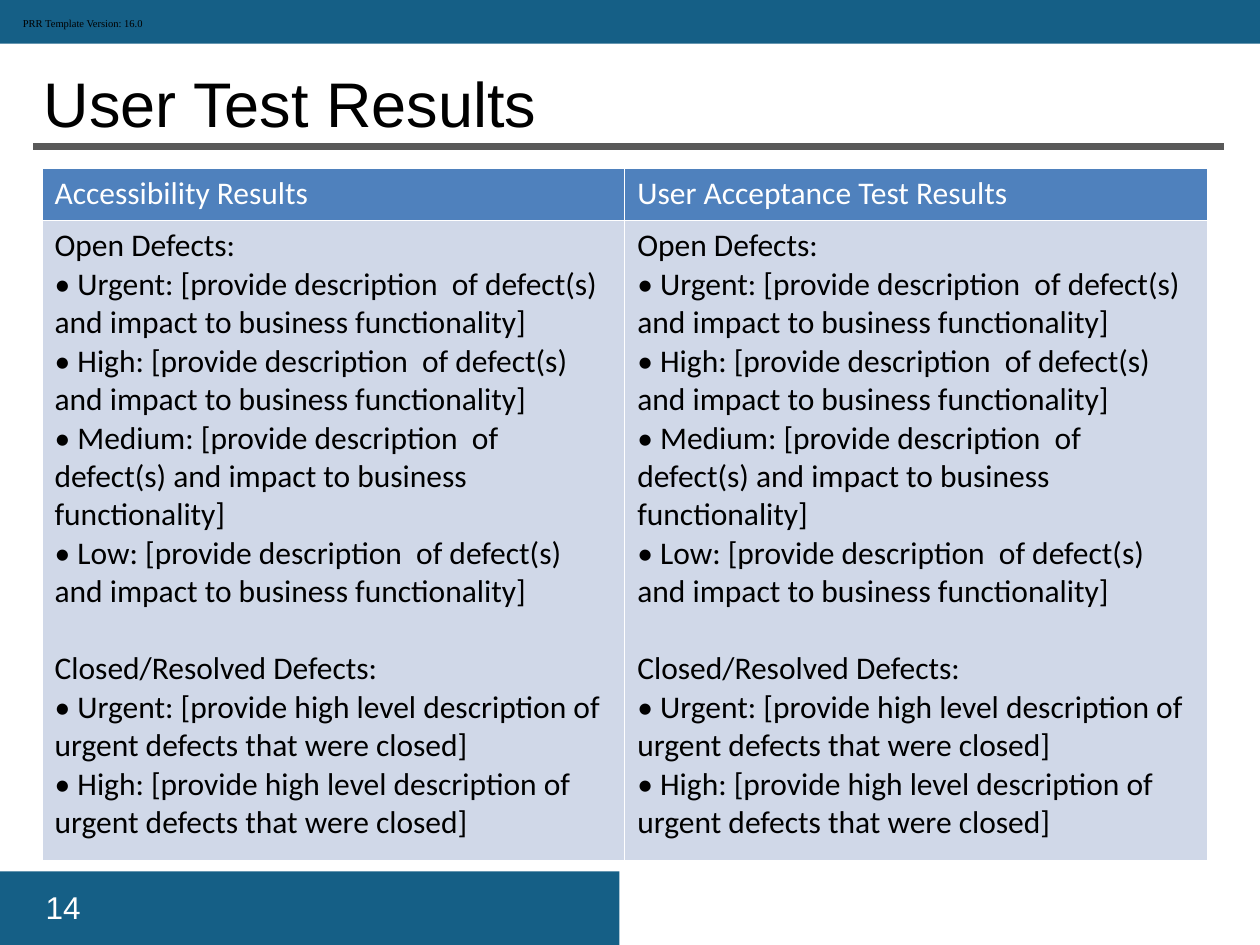
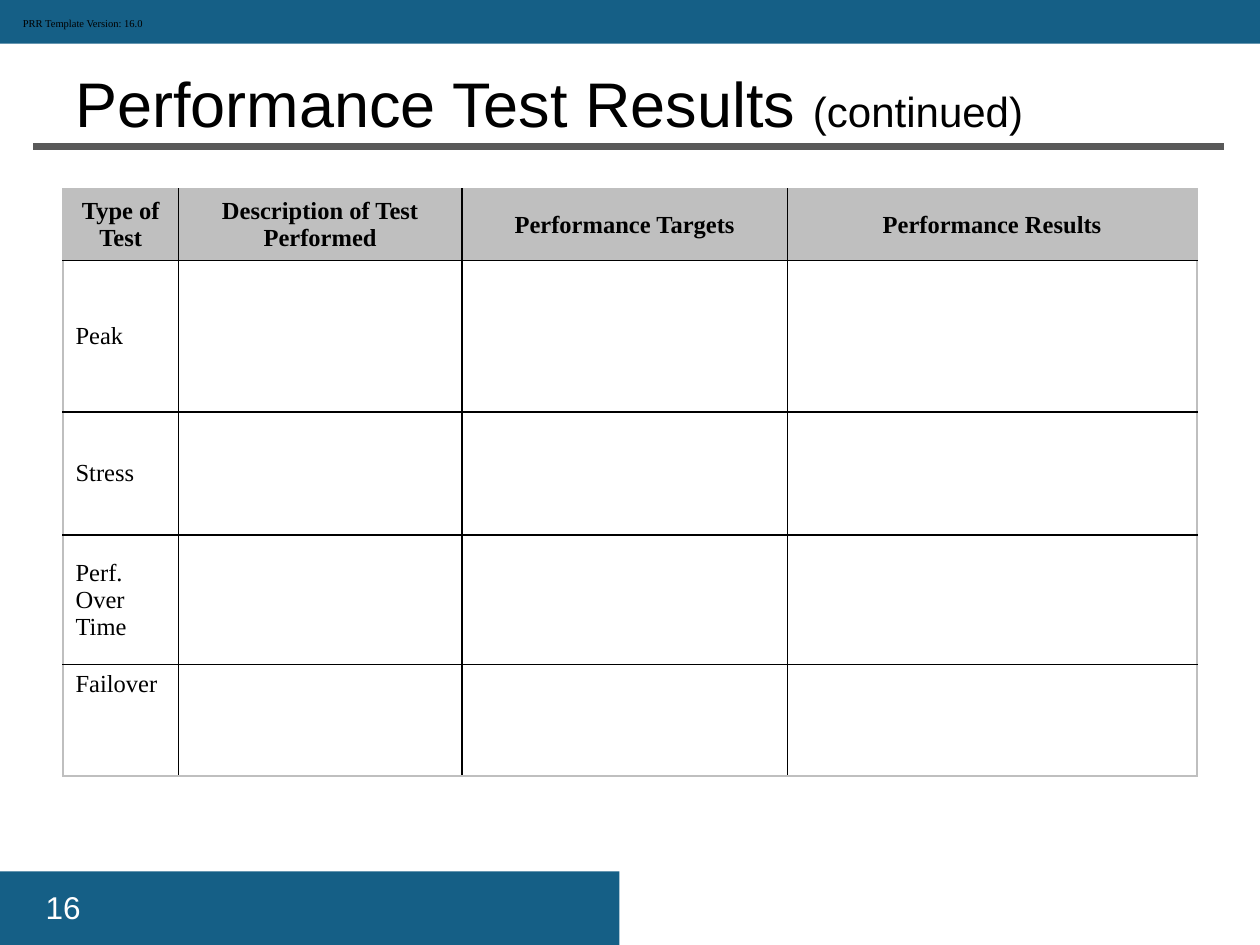
from lxml.etree import SubElement
from pptx import Presentation
from pptx.dml.color import RGBColor
from pptx.enum.shapes import MSO_CONNECTOR, MSO_SHAPE
from pptx.enum.text import MSO_ANCHOR, PP_ALIGN
from pptx.oxml.ns import qn
from pptx.util import Pt

BAND, RULE, BLACK, WHITE = "155F86", "595959", "000000", "FFFFFF"
HEAD_BLUE, BODY_BLUE, GRAY = "4F81BD", "D0D8E8", "BFBFBF"
SANS, SERIF, BODY = "Arial", "Times New Roman", "Calibri"

VERSION = "PRR Template Version: 16.0"
BANDS = [(0, 498, 354, 42), (0, 0, 720, 25)]

RESULT_HEADS = ["Accessibility Results", "User Acceptance Test Results"]
CLOSED = "Closed/Resolved Defects:"
DEFECTS = [
    "Open Defects:",
    "• Urgent: [provide description  of defect(s) and impact to business functionality]",
    "• High: [provide description  of defect(s) and impact to business functionality]",
    "• Medium: [provide description  of defect(s) and impact to business functionality]",
    "• Low: [provide description  of defect(s) and impact to business functionality]",
    CLOSED,
    "• Urgent: [provide high level description of urgent defects that were closed]",
    "• High: [provide high level description of urgent defects that were closed]",
]

TEST_HEADS = ["Type of Test", "Description of Test Performed",
              "Performance Targets", "Performance Results"]
TESTS = ["Peak", "Stress", "Perf. Over Time", "Failover"]
TEST_COLS = [66, 162, 186, 234]
TEST_ROWS = [38, 86.5, 70.5, 74, 63.5]


def rgb(color):
    return RGBColor.from_string(color)


def set_font(font, name, size, color, bold=False):
    font.name, font.size, font.bold = name, Pt(size), bold
    font.color.rgb = rgb(color)


def add_text(slide, box, runs, name, color, anchor=MSO_ANCHOR.TOP, wrap=True):
    tf = slide.shapes.add_textbox(*map(Pt, box)).text_frame
    tf.word_wrap, tf.vertical_anchor = wrap, anchor
    p = tf.paragraphs[0]
    set_font(p.font, name, runs[0][1], color)
    for text, size in runs:
        r = p.add_run()
        r.text, r.font.size = text, Pt(size)


def add_base(prs, number, title_left, title):
    slide = prs.slides.add_slide(prs.slide_layouts[6])
    for band in BANDS:
        sp = slide.shapes.add_shape(MSO_SHAPE.RECTANGLE, *map(Pt, band))
        sp.shadow.inherit = False
        sp.fill.solid()
        sp.fill.fore_color.rgb = rgb(BAND)
        sp.line.fill.background()
    rule = slide.shapes.add_connector(
        MSO_CONNECTOR.STRAIGHT, Pt(19), Pt(83.5), Pt(699.5), Pt(83.5))
    rule.line.color.rgb, rule.line.width = rgb(RULE), Pt(4)
    SubElement(rule._element.spPr, qn("a:effectLst"))
    add_text(slide, (19, 504, 158, 29), [(number, 18)], SANS, WHITE)
    add_text(slide, (title_left, 32.5, 709 - title_left, 51), title, SANS, BLACK,
             anchor=MSO_ANCHOR.BOTTOM)
    add_text(slide, (6, 6, 84, 14.5), [(VERSION, 6)], SERIF, BLACK, wrap=False)
    return slide


def add_grid(slide, left, top, cols, rows):
    box = map(Pt, (left, top, sum(cols), sum(rows)))
    table = slide.shapes.add_table(len(rows), len(cols), *box).table
    for column, width in zip(table.columns, cols):
        column.width = Pt(width)
    for row, height in zip(table.rows, rows):
        row.height = Pt(height)
    return table


def style_cell(cell, fill, borders):
    tcPr = cell._tc.get_or_add_tcPr()
    for side, (color, width) in zip("LRTB", borders):
        ln = SubElement(tcPr, qn(f"a:ln{side}"), w=str(Pt(width)))
        SubElement(SubElement(ln, qn("a:solidFill")), qn("a:srgbClr"), val=color)
    if fill:
        cell.fill.solid()
        cell.fill.fore_color.rgb = rgb(fill)
    else:
        cell.fill.background()


def add_user_results(prs):
    slide = add_base(prs, "14", 18, [("User Test Results", 36)])
    table = add_grid(slide, 24, 96, [333, 333], [30, 366])
    for c, head in enumerate(RESULT_HEADS):
        for r, (lines, fill, color) in enumerate(
                [([head], HEAD_BLUE, WHITE), (DEFECTS, BODY_BLUE, BLACK)]):
            cell = table.cell(r, c)
            style_cell(cell, fill, [(WHITE, 1)] * 4)
            cell.text = "\n".join(lines)
            for p in cell.text_frame.paragraphs:
                set_font(p.font, BODY, 18, color)
                if p.text == CLOSED:
                    p.space_before = Pt(22)


def add_performance_results(prs):
    slide = add_base(prs, "16", 36,
                     [("Performance Test Results ", 36), ("(continued)", 24)])
    table = add_grid(slide, 36, 108, TEST_COLS, TEST_ROWS)
    last_row, last_col = len(TEST_ROWS) - 1, len(TEST_COLS) - 1
    inner, outer = (BLACK, 1), (GRAY, 1)
    texts = [TEST_HEADS] + [[test] for test in TESTS]
    for r in range(last_row + 1):
        for c in range(last_col + 1):
            cell = table.cell(r, c)
            edges = (c == 0, c == last_col, r == 0, r == last_row)
            style_cell(cell, GRAY if r == 0 else None,
                       [outer if edge else inner for edge in edges])
            if c < len(texts[r]):
                cell.text = texts[r][c]
                p = cell.text_frame.paragraphs[0]
                set_font(p.font, SERIF, 14, BLACK, bold=r == 0)
                p.alignment = PP_ALIGN.CENTER if r == 0 else PP_ALIGN.LEFT
                if r < last_row:
                    cell.vertical_anchor = MSO_ANCHOR.MIDDLE


def main():
    prs = Presentation()
    prs.slide_width, prs.slide_height = Pt(720), Pt(540)
    add_user_results(prs)
    add_performance_results(prs)
    prs.save("out.pptx")


if __name__ == "__main__":
    main()
